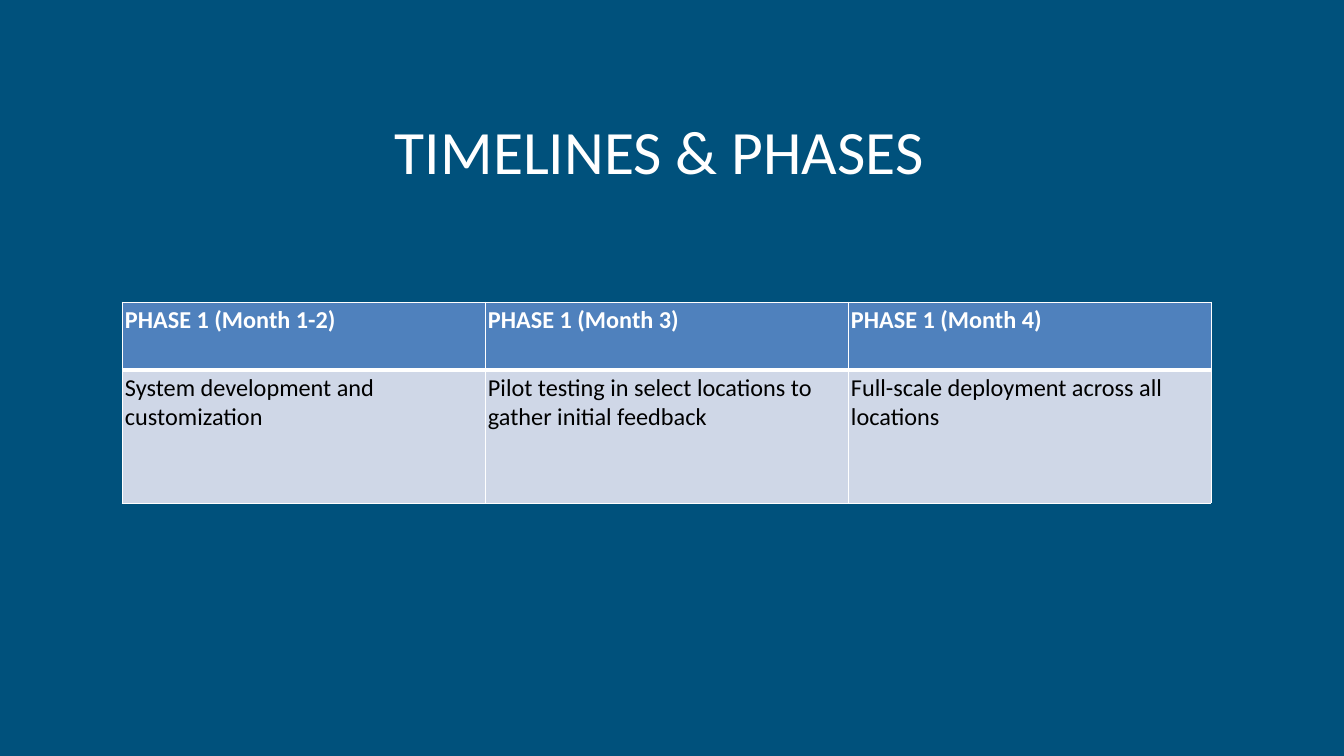
from pptx import Presentation
from pptx.dml.color import RGBColor
from pptx.enum.text import MSO_ANCHOR, PP_ALIGN
from pptx.oxml import parse_xml
from pptx.oxml.ns import nsdecls
from pptx.util import Pt

PX = 914400 / 67.2
FONT = "Calibri"
WHITE, BLACK = "FFFFFF", "000000"
BACKGROUND, HEADER_FILL, BODY_FILL = "00517C", "4F81BD", "CFD7E7"

PHASES = [
    ("PHASE 1 (Month 1-2)", "System development and customization"),
    ("PHASE 1 (Month 3)", "Pilot testing in select locations to gather initial feedback"),
    ("PHASE 1 (Month 4)", "Full-scale deployment across all locations"),
]


def px(n):
    return round(n * PX)


def rgb(value):
    return RGBColor.from_string(value)


def set_font(p, size, color, bold=False):
    font = p.font
    font.name, font.size, font.bold = FONT, Pt(size), bold
    font.color.rgb = rgb(color)


def set_margins(target, n):
    target.margin_left = target.margin_right = px(n)
    target.margin_top = target.margin_bottom = px(n)


def set_borders(cell, color, **widths):
    """Add cell borders, before the fill; widths are points keyed L, R, T and B."""
    tc_pr = cell._tc.get_or_add_tcPr()
    for side in "LRTB":
        tc_pr.append(parse_xml(
            f'<a:ln{side} {nsdecls("a")} w="{Pt(widths[side])}"><a:solidFill>'
            f'<a:srgbClr val="{color}"/></a:solidFill></a:ln{side}>'))


def add_title(s, text, x, y, w, h):
    tf = s.shapes.add_textbox(px(x), px(y), px(w), px(h)).text_frame
    tf.word_wrap = True
    tf.vertical_anchor = MSO_ANCHOR.MIDDLE
    set_margins(tf, 5)
    p = tf.paragraphs[0]
    p.text = text
    p.alignment = PP_ALIGN.CENTER
    set_font(p, 66, WHITE)


def add_phase_table(s, phases, x, y, w, row_heights):
    """Add one column per phase, with its name above its description."""
    table = s.shapes.add_table(len(row_heights), len(phases), px(x), px(y),
                               px(w), px(sum(row_heights))).table
    table.horz_banding = False
    for row, height in zip(table.rows, row_heights):
        row.height = px(height)
    for c, phase in enumerate(phases):
        table.columns[c].width = px(w / len(phases))
        for r, text in enumerate(phase):
            header = r == 0
            cell = table.cell(r, c)
            set_margins(cell, 3)
            set_borders(cell, WHITE, L=1, R=1, T=1 if header else 4, B=4 if header else 1)
            cell.fill.solid()
            cell.fill.fore_color.rgb = rgb(HEADER_FILL if header else BODY_FILL)
            p = cell.text_frame.paragraphs[0]
            p.text = text
            set_font(p, 26, WHITE if header else BLACK, bold=header)


def main():
    prs = Presentation()
    prs.slide_width, prs.slide_height = px(1344), px(756)
    s = prs.slides.add_slide(prs.slide_layouts[6])
    s.background.fill.solid()
    s.background.fill.fore_color.rgb = rgb(BACKGROUND)
    add_title(s, "TIMELINES & PHASES", 358, 87, 603, 126)
    add_phase_table(s, PHASES, 122, 302, 1089, (68, 133))
    prs.save("out.pptx")


if __name__ == "__main__":
    main()
